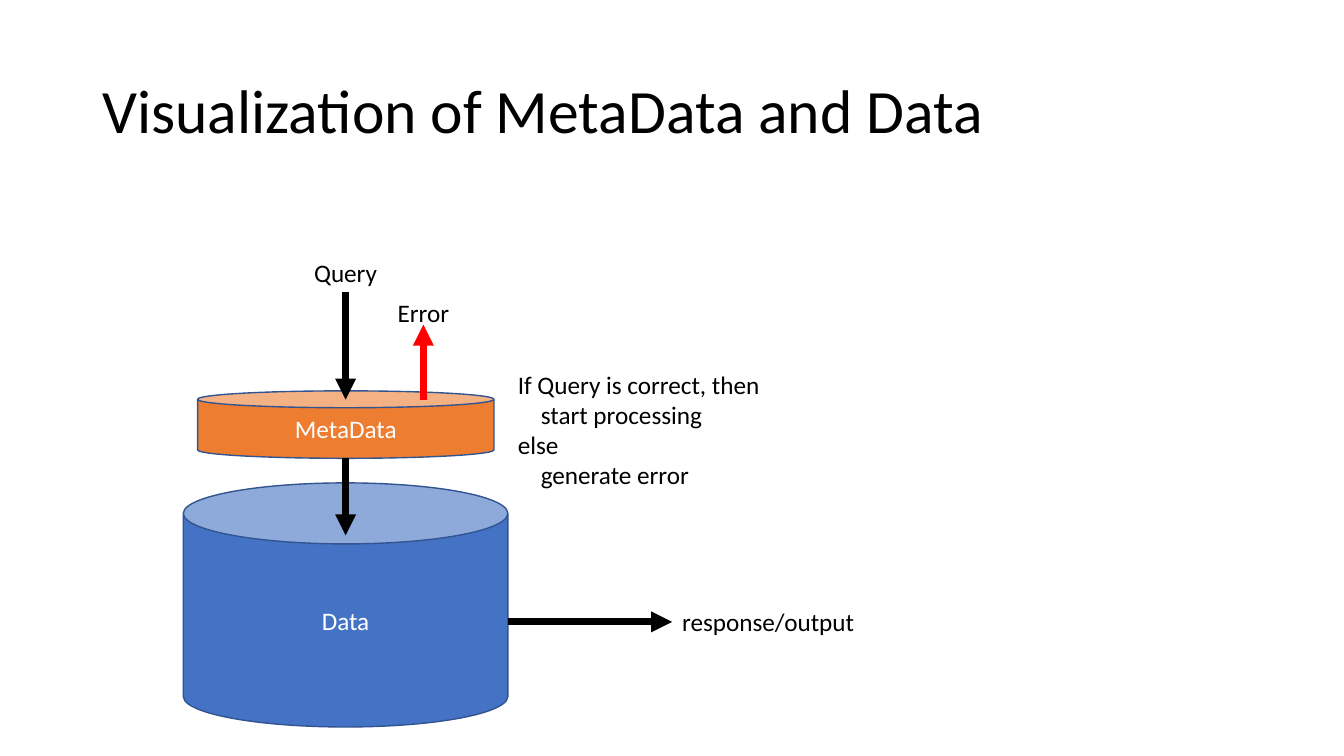
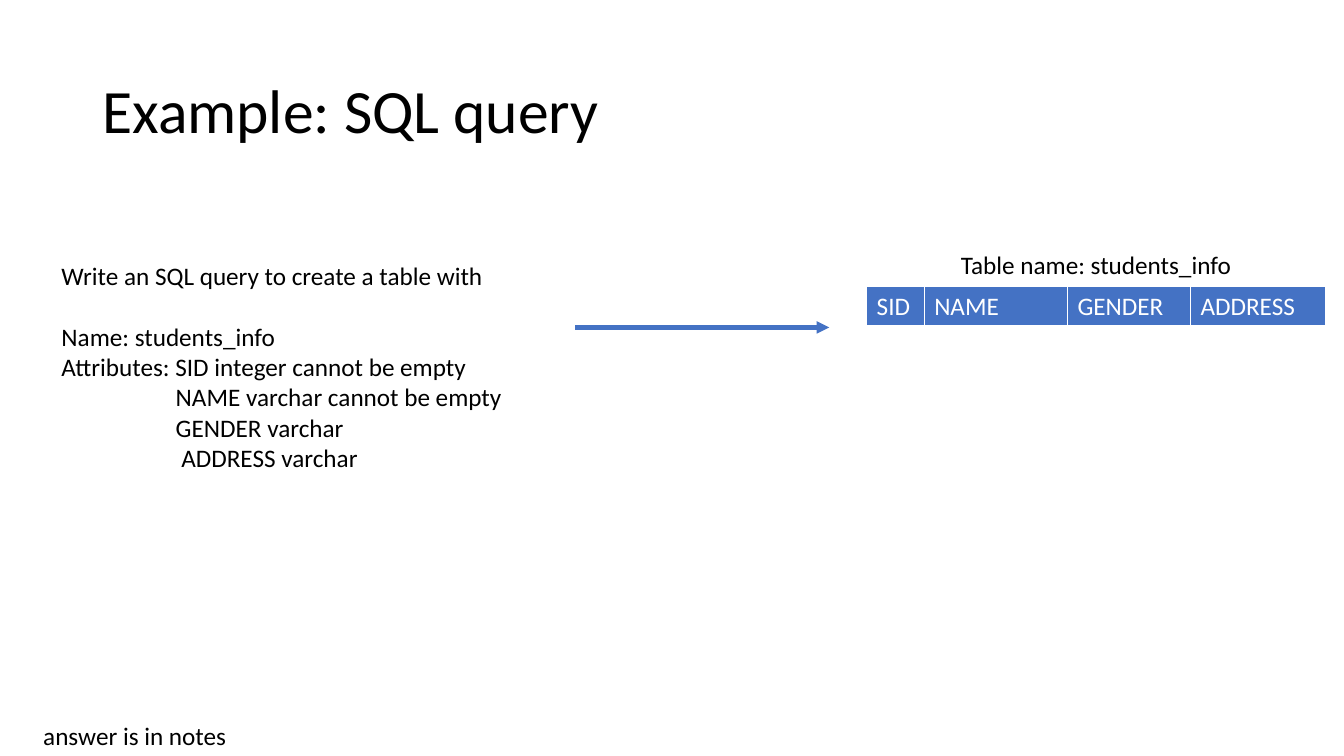
from dataclasses import dataclass
from typing import NamedTuple

from lxml.etree import SubElement
from pptx import Presentation
from pptx.dml.color import RGBColor as Rgb
from pptx.enum.shapes import MSO_CONNECTOR as Connector, MSO_SHAPE as Shape
from pptx.enum.text import MSO_ANCHOR as Anchor, PP_ALIGN as Align
from pptx.oxml.ns import qn
from pptx.util import Cm, Pt


@dataclass(frozen=True)
class Theme:
    font: str = "Calibri"
    title_size: int = 44
    body_size: int = 18
    ink: str = "000000"
    paper: str = "FFFFFF"
    blue: str = "4472C4"
    orange: str = "ED7D31"
    outline: str = "325491"
    red: str = "FF0000"


class Box(NamedTuple):
    """A region in centimetres."""
    left: float
    top: float
    width: float
    height: float

    def inner(self, left, top, width, height):
        return Box(self.left + left, self.top + top, width, height)

    def lengths(self):
        return [Cm(value) for value in self]


THEME = Theme()
LINE_HEIGHT = 1.02  # height of a one-line label
TITLE_BOX = Box(2.33, 1.01, 29.21, 3.68)


# Shared parts

def style(para, color, size=THEME.body_size, align=Align.LEFT):
    para.alignment = align
    para.font.name = THEME.font
    para.font.size = Pt(size)
    para.font.color.rgb = Rgb.from_string(color)


def add_text(page, box, lines, size=THEME.body_size, align=Align.LEFT, indents=None):
    """Write one paragraph per line; indents maps a line number to centimetres."""
    frame = page.shapes.add_textbox(*box.lengths()).text_frame
    frame.word_wrap = True
    frame.text = "\n".join(lines)
    for number, para in enumerate(frame.paragraphs):
        style(para, THEME.ink, size, align)
        if indents and number in indents:
            properties = para._p.get_or_add_pPr()
            properties.set("marL", str(Cm(indents[number])))
            properties.set("indent", "0")
    return frame


def add_caption(page, center, top, width, text):
    box = Box(center - width / 2, top, width, LINE_HEIGHT)
    add_text(page, box, [text], align=Align.CENTER)


def add_title(page, text):
    frame = add_text(page, TITLE_BOX, [text], THEME.title_size)
    frame.vertical_anchor = Anchor.MIDDLE
    frame.paragraphs[0].line_spacing = 0.9


def add_arrow(page, start, end, color=THEME.ink, weight=5):
    ends = [Cm(value) for value in (*start, *end)]
    arrow = page.shapes.add_connector(Connector.STRAIGHT, *ends)
    arrow.line.color.rgb = Rgb.from_string(color)
    arrow.line.width = Pt(weight)
    SubElement(arrow.line._get_or_add_ln(), qn("a:tailEnd"), type="triangle")
    SubElement(arrow._element.spPr, qn("a:effectLst"))


def add_cylinder(page, box, text, color):
    can = page.shapes.add_shape(Shape.CAN, *box.lengths())
    can.shadow.inherit = False
    can.fill.solid()
    can.fill.fore_color.rgb = Rgb.from_string(color)
    can.line.color.rgb = Rgb.from_string(THEME.outline)
    can.line.width = Pt(1)
    can.text_frame.text = text
    can.text_frame.vertical_anchor = Anchor.MIDDLE
    style(can.text_frame.paragraphs[0], THEME.paper, align=Align.CENTER)


# Regions

def add_query_flow(page, box):
    data = box.inner(0, 5.82, 8.18, 6.15)
    metadata = box.inner(0.36, 3.5, 7.47, 1.7)
    axis = data.left + data.width / 2
    error_x = axis + 1.96
    lid_y = metadata.top + 0.22
    output_x, output_y = data.left + 12.32, data.top + 3.5

    # Stores
    add_cylinder(page, data, "Data", THEME.blue)
    add_cylinder(page, metadata, "MetaData", THEME.orange)

    # Flow
    add_arrow(page, (axis, box.top + LINE_HEIGHT), (axis, lid_y))
    add_arrow(page, (axis, metadata.top + metadata.height), (axis, data.top + 1.32))
    add_arrow(page, (data.left + data.width, output_y), (output_x, output_y))
    add_arrow(page, (error_x, lid_y), (error_x, box.top + 1.83), THEME.red)

    # Labels
    add_caption(page, axis, box.top, 2.4, "Query")
    add_caption(page, error_x, box.top + LINE_HEIGHT, 2.1, "Error")
    output = Box(output_x, output_y - LINE_HEIGHT / 2, 5.1, LINE_HEIGHT)
    add_text(page, output, ["response/output"])
    rule = ["If Query is correct, then", "start processing", "else", "generate error"]
    add_text(page, box.inner(8.18, 2.82, 7.2, 3.35), rule, indents={1: 0.58, 3: 0.58})


def add_task(page, box):
    lines = [
        "Write an SQL query to create a table with",
        "Name: students_info",
        "Attributes: SID integer cannot be empty",
        "NAME varchar cannot be empty",
        "GENDER varchar",
        "ADDRESS varchar",
    ]
    frame = add_text(page, box, lines, indents={3: 2.88, 4: 2.88, 5: 3.02})
    frame.paragraphs[1].space_before = Pt(22)


def add_borders(cell):
    properties = cell._tc.get_or_add_tcPr()
    for position, (side, weight) in enumerate(zip("LRTB", (1, 1, 1, 3))):
        line = SubElement(properties, qn(f"a:ln{side}"), w=str(Pt(weight)))
        fill = SubElement(line, qn("a:solidFill"))
        SubElement(fill, qn("a:srgbClr"), val=THEME.paper)
        properties.insert(position, line)


def add_student_table(page, box):
    columns = {"SID": 1.45, "NAME": 3.61, "GENDER": 3.1, "ADDRESS": 3.4}
    center = box.left + box.width / 2
    add_caption(page, center, box.top, 7.6, "Table name: students_info")

    # Header row
    grid = box.inner(0, 1.04, box.width, box.height - 1.04)
    table = page.shapes.add_table(1, len(columns), *grid.lengths()).table
    table.first_row = table.horz_banding = False
    for number, (name, width) in enumerate(columns.items()):
        table.columns[number].width = Cm(width)
        cell = table.cell(0, number)
        cell.text = name
        cell.fill.solid()
        cell.fill.fore_color.rgb = Rgb.from_string(THEME.blue)
        style(cell.text_frame.paragraphs[0], THEME.paper)
        add_borders(cell)


# Slides

def new_page(deck, title):
    page = deck.slides.add_slide(deck.slide_layouts[6])
    add_title(page, title)
    return page


def build_visualization(deck):
    page = new_page(deck, "Visualization of MetaData and Data")
    add_query_flow(page, Box(4.62, 6.35, 17.42, 11.97))


def build_example(deck):
    page = new_page(deck, "Example: SQL query")
    add_task(page, Box(1.3, 6.43, 12, 5.64))
    add_arrow(page, (14.5, 8.25), (20.9, 8.25), THEME.blue, 3)
    add_student_table(page, Box(21.84, 6.17, 11.56, 2.05))
    add_text(page, Box(0.84, 18.03, 5.4, LINE_HEIGHT), ["answer is in notes"])


def main():
    deck = Presentation()
    deck.slide_width, deck.slide_height = Cm(33.87), Cm(19.05)
    build_visualization(deck)
    build_example(deck)
    deck.save("out.pptx")


if __name__ == "__main__":
    main()
